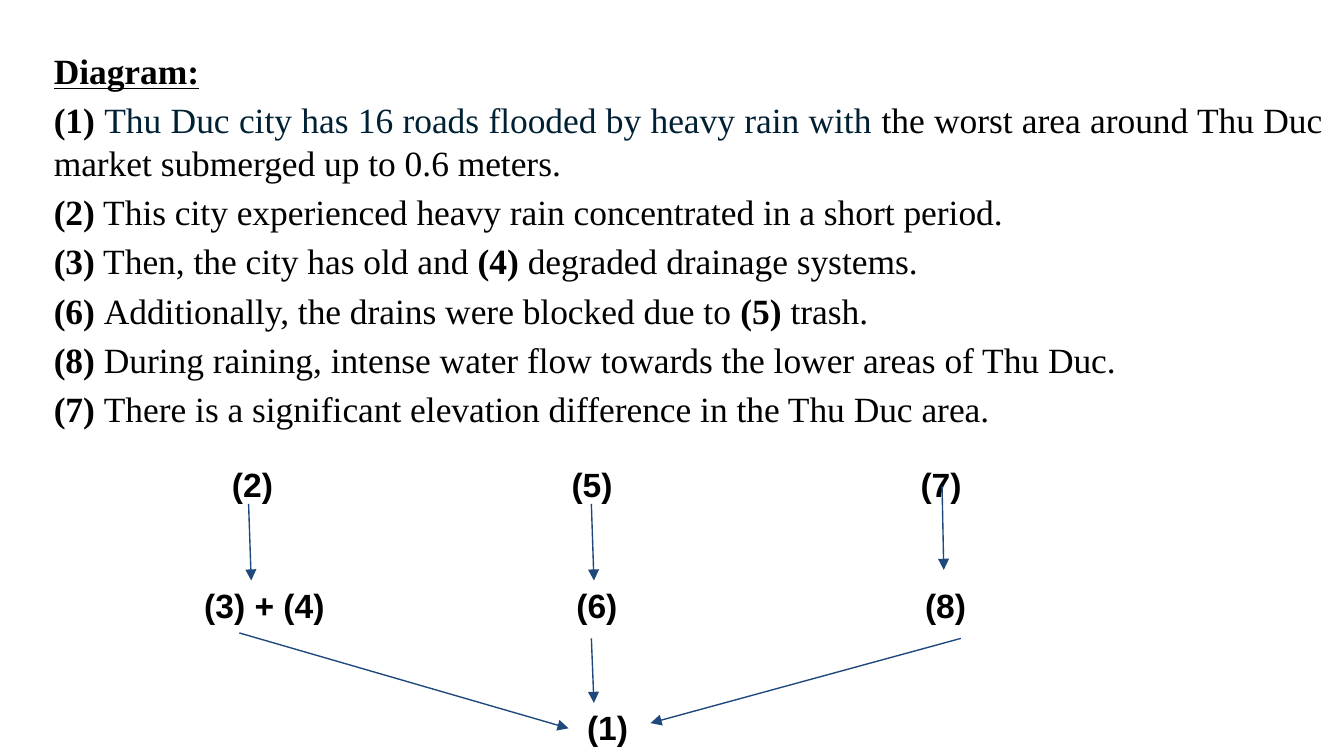
from lxml.etree import SubElement
from pptx import Presentation
from pptx.dml.color import RGBColor
from pptx.enum.dml import MSO_LINE
from pptx.enum.shapes import MSO_CONNECTOR
from pptx.enum.text import MSO_ANCHOR, MSO_AUTO_SIZE, PP_ALIGN
from pptx.oxml.ns import qn
from pptx.util import Pt

COLORS = {"text": "000000", "intro": "002033", "arrow": "1F497D"}
TITLE = "Diagram:"
STATEMENTS = [
    [("(1) ", "bold"),
     ("Thu Duc city has 16 roads flooded by heavy rain with ", "intro"),
     ("the worst area around Thu Duc market submerged up to 0.6 meters.", "plain")],
    [("(2)", "bold"),
     (" This city experienced heavy rain concentrated in a short period.", "plain")],
    [("(3)", "bold"), (" Then, the city has old and ", "plain"),
     ("(4) ", "bold"), ("degraded drainage systems.", "plain")],
    [("(6) ", "bold"), ("Additionally, the drains were blocked due to ", "plain"),
     ("(5)", "bold"), (" trash.", "plain")],
    [("(8)", "bold"),
     (" During raining, intense water flow towards the lower areas of Thu Duc.", "plain")],
    [("(7) ", "bold"),
     ("There is a significant elevation difference in the Thu Duc area.", "plain")],
]
LABEL_ROWS = [
    [("(2)", 135.3), ("(5)", 317.2), ("(7)", 504.2)],
    [("(3) + (4)", 141.7), ("(6)", 319.8), ("(8)", 506.6)],
    [("(1)", 325.5)],
]
ARROWS = [
    (133.2, 270, 134.6, 311),
    (316.8, 270, 318.2, 311),
    (504.7, 260.6, 505.6, 305.3),
    (128.2, 339.1, 304.6, 390.2),
    (316.8, 342, 318.2, 376.6),
    (514.8, 342, 348.5, 387.4),
]
TEXT_LEFT, TEXT_WIDTH = 28.8, 679.7
TITLE_TOP, LINE_HEIGHT, PARAGRAPH_GAP = 26.3, 22.8, 3.6
LABEL_TOP, ROW_STEP, LABEL_WIDTH, LABEL_HEIGHT = 248.7, 64.9, 100, 21


def format_font(font, name, size, color, bold):
    font.name = name
    font.size = Pt(size)
    font.bold = bold
    font.color.rgb = RGBColor.from_string(COLORS[color])


def place_text(shape, left, top, width, height):
    shape.left, shape.top, shape.width, shape.height = map(Pt, (left, top, width, height))
    frame = shape.text_frame
    frame.margin_left = frame.margin_right = frame.margin_top = frame.margin_bottom = 0
    frame.word_wrap = True
    frame.auto_size = MSO_AUTO_SIZE.NONE
    frame.vertical_anchor = MSO_ANCHOR.TOP
    return frame


def format_paragraph(paragraph, gap):
    paragraph.alignment = PP_ALIGN.JUSTIFY
    paragraph.line_spacing = Pt(LINE_HEIGHT)
    paragraph.space_before = Pt(gap)
    properties = paragraph._p.get_or_add_pPr()
    properties.set("marL", "0")
    properties.set("indent", "0")
    SubElement(properties, qn("a:buNone"))


def add_title(slide):
    frame = place_text(slide.shapes.title, TEXT_LEFT, TITLE_TOP, TEXT_WIDTH, LINE_HEIGHT)
    frame.text = TITLE
    paragraph = frame.paragraphs[0]
    format_paragraph(paragraph, 0)
    font = paragraph.runs[0].font
    format_font(font, "Times New Roman", 19, "text", True)
    font.underline = True


def add_statements(slide):
    top = TITLE_TOP + LINE_HEIGHT + PARAGRAPH_GAP
    frame = place_text(slide.placeholders[1], TEXT_LEFT, top, TEXT_WIDTH, 182)
    for index, statement in enumerate(STATEMENTS):
        paragraph = frame.add_paragraph() if index else frame.paragraphs[0]
        format_paragraph(paragraph, PARAGRAPH_GAP if index else 0)
        for text, style in statement:
            run = paragraph.add_run()
            run.text = text
            color = "intro" if style == "intro" else "text"
            format_font(run.font, "Times New Roman", 19, color, style == "bold")


def add_label(slide, text, center, top):
    box = slide.shapes.add_textbox(0, 0, 0, 0)
    frame = place_text(box, center - LABEL_WIDTH / 2, top, LABEL_WIDTH, LABEL_HEIGHT)
    frame.text = text
    paragraph = frame.paragraphs[0]
    paragraph.alignment = PP_ALIGN.CENTER
    format_font(paragraph.runs[0].font, "Arial", 18, "text", True)


def add_arrow(slide, points):
    arrow = slide.shapes.add_connector(MSO_CONNECTOR.STRAIGHT, *map(Pt, points))
    arrow.line.color.rgb = RGBColor.from_string(COLORS["arrow"])
    arrow.line.width = Pt(0.75)
    arrow.line.dash_style = MSO_LINE.SOLID
    SubElement(arrow.line._get_or_add_ln(), qn("a:tailEnd"), type="triangle")
    SubElement(arrow._element.spPr, qn("a:effectLst"))


def main():
    presentation = Presentation()
    presentation.slide_width, presentation.slide_height = Pt(720), Pt(405)
    slide = presentation.slides.add_slide(presentation.slide_layouts[1])
    add_title(slide)
    add_statements(slide)
    for row, labels in enumerate(LABEL_ROWS):
        for text, center in labels:
            add_label(slide, text, center, LABEL_TOP + row * ROW_STEP)
    for points in ARROWS:
        add_arrow(slide, points)
    presentation.save("out.pptx")


if __name__ == "__main__":
    main()
